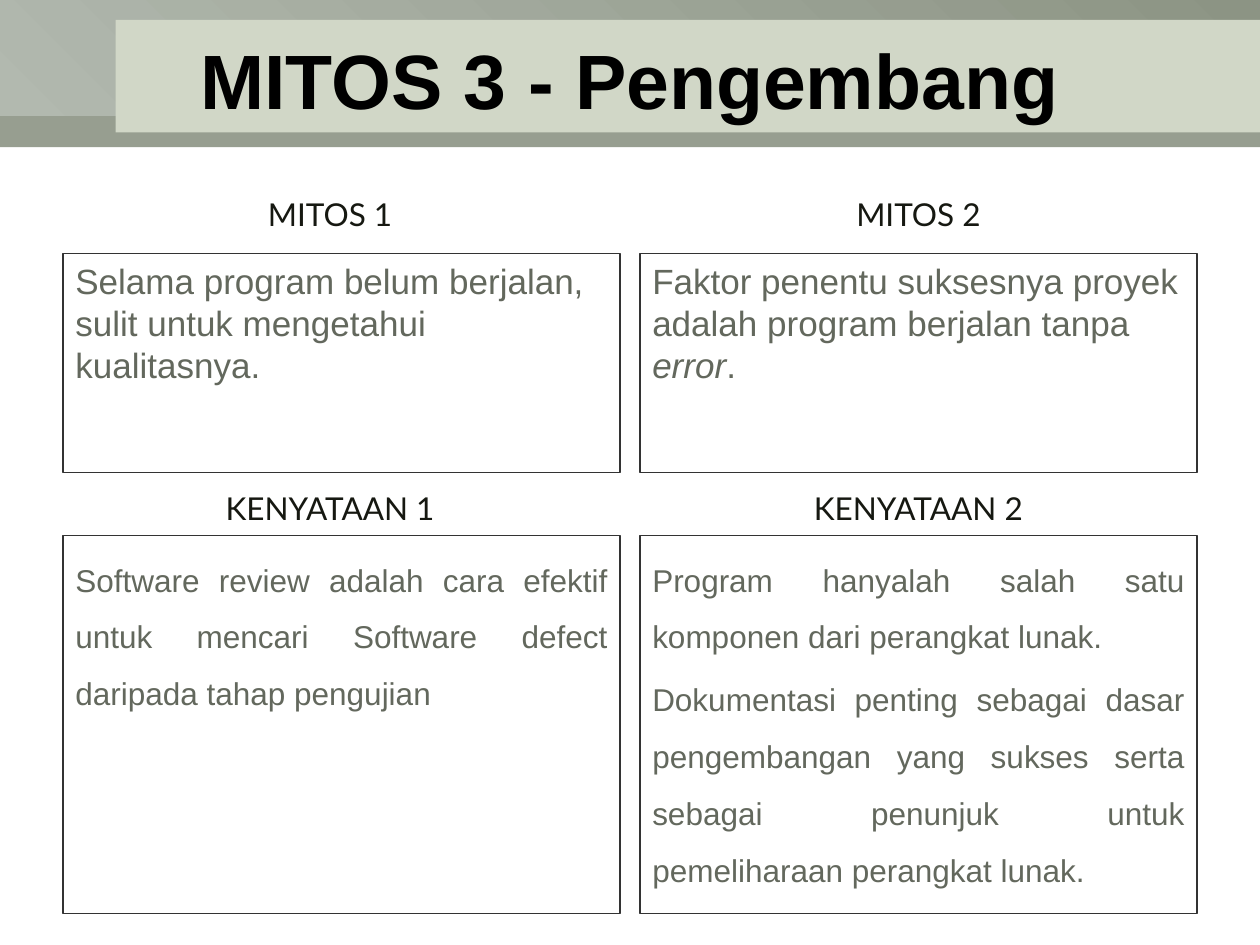
import pptx
import pptx.util
import pptx.dml.color
import pptx.enum.shapes
import pptx.enum.text
import pptx.oxml.ns
import lxml.etree

Cm, Pt = pptx.util.Cm, pptx.util.Pt
ALIGN = pptx.enum.text.PP_ALIGN
ANCHOR = pptx.enum.text.MSO_ANCHOR


def color(hex_code):
    return pptx.dml.color.RGBColor.from_string(hex_code)


def add_rectangle(left, top, width, height):
    shape = page.shapes.add_shape(
        pptx.enum.shapes.MSO_SHAPE.RECTANGLE, Cm(left), Cm(top), Cm(width), Cm(height))
    shape.shadow.inherit = False
    return shape


deck = pptx.Presentation()
deck.slide_width, deck.slide_height = Cm(25.4), Cm(19.05)
page = deck.slides.add_slide(deck.slide_layouts[5])

# Header bands
strip = add_rectangle(0, 1.9, 25.4, 1.07)
strip.fill.solid()
strip.fill.fore_color.rgb = color("8C9484")
fill_color = strip.fill._xPr.find(".//" + pptx.oxml.ns.qn("a:srgbClr"))
lxml.etree.SubElement(fill_color, pptx.oxml.ns.qn("a:alpha"), val="90000")

gradient = add_rectangle(0, 0, 25.4, 2.34)
gradient.fill.gradient()
gradient.fill.gradient_angle = 45
for stop, hex_code in zip(gradient.fill.gradient_stops, ("B2B9AF", "8C9484")):
    stop.color.rgb = color(hex_code)

panel = add_rectangle(2.33, 0.4, 23.07, 2.27)
panel.fill.solid()
panel.fill.fore_color.rgb = color("D1D7C7")

for band in (strip, gradient, panel):
    band.line.fill.background()

# Title, raised above the bands
title = page.shapes.title
page.shapes._spTree.append(title._element)
title.left, title.top, title.width, title.height = Cm(1.27), Cm(0), Cm(22.86), Cm(3.18)
title.text_frame.text = "MITOS 3 - Pengembang"
title.text_frame.vertical_anchor = ANCHOR.MIDDLE
para = title.text_frame.paragraphs[0]
para.alignment = ALIGN.CENTER
para.font.name, para.font.size, para.font.bold = "Arial", Pt(44), True
para.font.color.rgb = color("000000")

# Each column: myth above, reality below; a paragraph is a list of (text, italic)
columns = [
    ([[("Selama program belum berjalan, sulit untuk mengetahui kualitasnya.", False)]],
     [[("Software review adalah cara efektif untuk mencari Software defect "
        "daripada tahap pengujian", False)]]),
    ([[("Faktor penentu suksesnya proyek adalah program berjalan tanpa ", False),
       ("error", True), (".", False)]],
     [[("Program hanyalah salah satu komponen dari perangkat lunak.", False)],
      [("Dokumentasi penting sebagai dasar pengembangan yang sukses serta sebagai "
        "penunjuk untuk pemeliharaan perangkat lunak.", False)]]),
]
# Heading, heading top, box top, box height, text size, alignment, line spacing
rows = [
    ("MITOS", 3.81, 5.11, 4.42, 20, ALIGN.LEFT, 1.0),
    ("KENYATAAN", 9.73, 10.8, 7.62, 18, ALIGN.JUSTIFY, 1.5),
]

for column, contents in enumerate(columns):
    for row, content in zip(rows, contents):
        heading, heading_top, box_top, box_height, size, alignment, spacing = row

        label = page.shapes.add_textbox(
            Cm(3.38 + 11.86 * column), Cm(heading_top), Cm(6.55), Cm(1.02))
        label.text_frame.word_wrap = True
        label.text_frame.text = f"{heading} {column + 1}"
        para = label.text_frame.paragraphs[0]
        para.alignment = ALIGN.CENTER
        para.font.name, para.font.size = "Lato", Pt(18)
        para.font.color.rgb = color("161811")

        box = add_rectangle(1.27 + 11.63 * column, box_top, 11.23, box_height)
        box.fill.background()
        box.line.color.rgb = color("333333")
        box.line.width = Pt(0.75)
        frame = box.text_frame
        frame.word_wrap = True
        frame.vertical_anchor = ANCHOR.TOP
        for index, spans in enumerate(content):
            para = frame.add_paragraph() if index else frame.paragraphs[0]
            para.alignment = alignment
            para.line_spacing = spacing
            para.space_before = Pt(size * 0.2)
            para.font.name, para.font.size = "Arial", Pt(size)
            para.font.color.rgb = color("63685D")
            for text, italic in spans:
                span = para.add_run()
                span.text = text
                if italic:
                    span.font.italic = True

deck.save("out.pptx")
